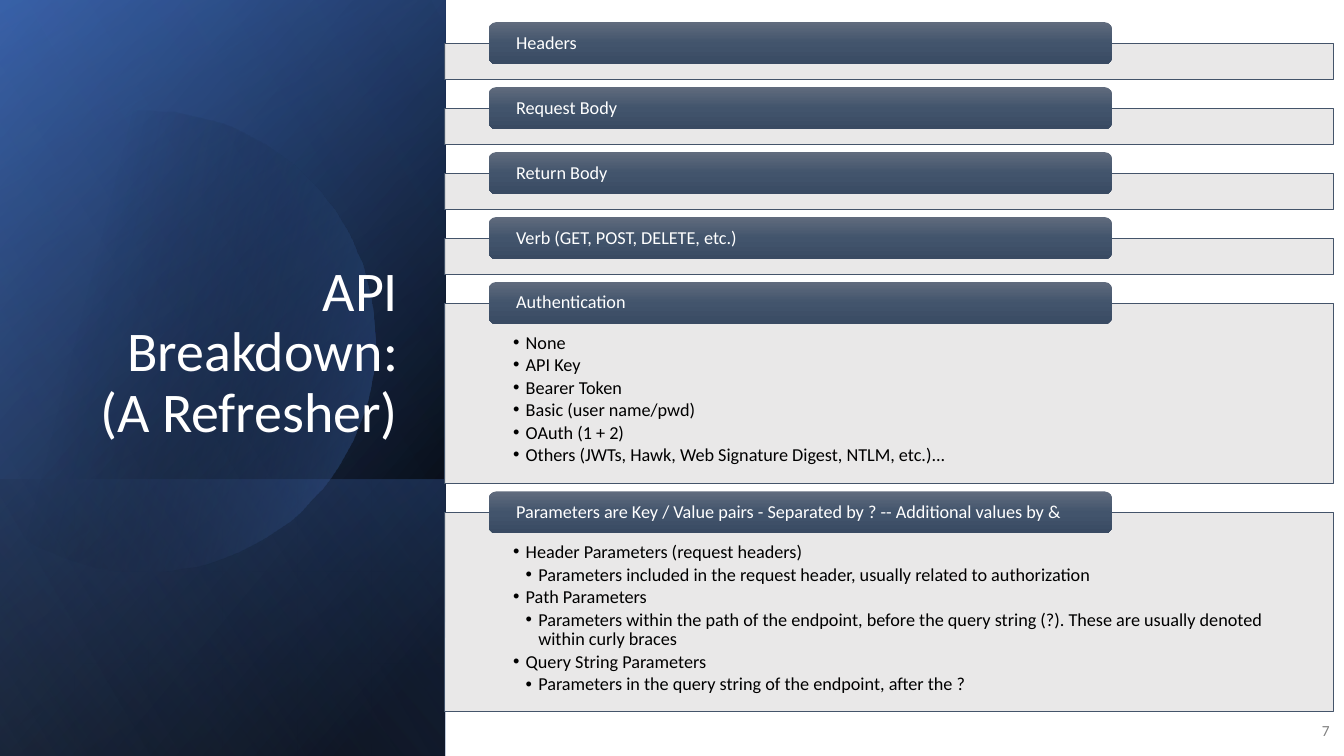
from lxml import etree
from pptx import Presentation
from pptx.dml.color import RGBColor
from pptx.enum import shapes, text
from pptx.oxml import ns
from pptx.util import Pt

BLACK = RGBColor(0x00, 0x00, 0x00)
WHITE = RGBColor(0xFF, 0xFF, 0xFF)
GRAY = RGBColor(0x80, 0x80, 0x80)
NAVY = RGBColor(0x2F, 0x55, 0x97)
BLUE = RGBColor(0x44, 0x72, 0xC4)
PALE_BLUE = RGBColor(0x8F, 0xAA, 0xDC)
SLATE = RGBColor(0x44, 0x54, 0x6A)
BOX = RGBColor(0xE7, 0xE6, 0xE6)
BAR_TOP = RGBColor(0x60, 0x6B, 0x7D)
BAR_MID = RGBColor(0x42, 0x54, 0x6C)
BAR_LOW = RGBColor(0x39, 0x4A, 0x62)

TITLE = "API Breakdown: (A Refresher)"
PAGE = "7"
SECTIONS = [
    ("Headers", 25.7, []),
    ("Request Body", 25.7, []),
    ("Return Body", 25.7, []),
    ("Verb (GET, POST, DELETE, etc.)", 25.7, []),
    ("Authentication", 128.9, [
        (0, "None"),
        (0, "API Key"),
        (0, "Bearer Token"),
        (0, "Basic (user name/pwd)"),
        (0, "OAuth (1 + 2)"),
        (0, "Others (JWTs, Hawk, Web Signature Digest, NTLM, etc.)..."),
    ]),
    ("Parameters are Key / Value pairs - Separated by ? -- Additional values by &", 141.8, [
        (0, "Header Parameters (request headers)"),
        (1, "Parameters included in the request header, usually related to authorization"),
        (0, "Path Parameters"),
        (1, "Parameters within the path of the endpoint, before the query string (?). "
            "These are usually denoted within curly braces"),
        (0, "Query String Parameters"),
        (1, "Parameters in the query string of the endpoint, after the ?"),
    ]),
]

PANEL_W = 318.2
BACK_PANELS = [
    (0, 540, [(8, BLACK, 100), (100, NAVY, 100)], 50),
    (0, 540, [(0, BLACK, 0), (99, BLUE, 46)], 30),
    (342.6, 197.4, [(2, BLUE, 29), (100, BLACK, 30)], 130),
]
FRONT_PANEL = (0, 540, [(0, BLACK, 0), (99, PALE_BLUE, 11)], 120)
DISC_STOPS = [(29, BLACK, 0), (100, BLUE, 43)]
BAR_STOPS = [(0, BAR_TOP, 100), (50, BAR_MID, 100), (100, BAR_LOW, 100)]
DISC_START = (107.3, 79.2)
DISC_PARTS = [
    [(177.1, 80.6), (241.2, 127.4), (261.4, 198)],
    [(286.6, 285.8), (236.2, 376.6), (149, 401.8)],
    [(94.3, 417.6), (38.2, 403.9), (-2.2, 370.1)],
    [(-10.8, 362.2)],
    [(-10.8, 126)],
    [(0, 115.9)],
    [(16.6, 102.2), (36, 92.2), (57.6, 85.7)],
    [(74.2, 81.4), (90.7, 79.2), (107.3, 79.2)],
]

BOX_X, BOX_W, FIRST_Y, GAP = 317.5, 635, 31, 20.7
BAR_X, BAR_W, BAR_H, BAR_RISE = 349.2, 445, 30, 15.1

prs = Presentation()
prs.slide_width, prs.slide_height = Pt(960), Pt(540)
s = prs.slides.add_slide(prs.slide_layouts[5])


def assign(obj, values):
    for name, value in values.items():
        setattr(obj, name, value)


def add_alpha(color, percent):
    etree.SubElement(color, ns.qn("a:alpha"), val=str(percent * 1000))


def set_gradient(sp, stops, angle):
    sp.shadow.inherit = False
    sp.line.fill.background()
    sp.fill.gradient()
    grad = sp._element.spPr.find(ns.qn("a:gradFill"))
    for child in list(grad):
        grad.remove(child)
    stop_list = etree.SubElement(grad, ns.qn("a:gsLst"))
    for pos, rgb, opacity in stops:
        gs = etree.SubElement(stop_list, ns.qn("a:gs"), pos=str(pos * 1000))
        color = etree.SubElement(gs, ns.qn("a:srgbClr"), val=str(rgb))
        if opacity < 100:
            add_alpha(color, opacity)
    etree.SubElement(grad, ns.qn("a:lin"), ang=str(angle * 60000), scaled="0")


def add_panel(top, height, stops, angle):
    shift = (height - PANEL_W) / 2
    sp = s.shapes.add_shape(shapes.MSO_SHAPE.RECTANGLE, Pt(-shift), Pt(top + shift),
                            Pt(height), Pt(PANEL_W))
    sp.rotation = 90
    sp._element.spPr.find(ns.qn("a:xfrm")).set("flipH", "1")
    set_gradient(sp, stops, angle)


def curve(p0, p1, p2, p3, steps=24):
    for i in range(1, steps + 1):
        t = i / steps
        u = 1 - t
        yield tuple(u**3 * a + 3 * u * u * t * b + 3 * u * t * t * c + t**3 * d
                    for a, b, c, d in zip(p0, p1, p2, p3))


def add_disc():
    points, here = [], DISC_START
    for part in DISC_PARTS:
        points += curve(here, *part) if len(part) == 3 else part
        here = part[-1]
    outline = s.shapes.build_freeform(*DISC_START, scale=Pt(1))
    outline.add_line_segments(points, close=True)
    set_gradient(outline.convert_to_shape(), DISC_STOPS, 14)


def set_frame(tf, anchor, left, top, right, bottom):
    assign(tf, {"word_wrap": True, "vertical_anchor": anchor,
                "margin_left": Pt(left), "margin_top": Pt(top),
                "margin_right": Pt(right), "margin_bottom": Pt(bottom)})


def write(p, words, size, color, align=text.PP_ALIGN.LEFT, after=0):
    assign(p, {"alignment": align, "line_spacing": 0.9,
               "space_before": Pt(0), "space_after": Pt(after)})
    r = p.add_run()
    r.text = words
    assign(r.font, {"size": Pt(size), "name": "Calibri"})
    r.font.color.rgb = color


def add_bullet(p, level):
    p.level = level
    pPr = p._p.get_or_add_pPr()
    pPr.set("marL", str(Pt(9 * (level + 1))))
    pPr.set("indent", str(Pt(-9)))
    etree.SubElement(pPr, ns.qn("a:buFont"), typeface="Arial")
    etree.SubElement(pPr, ns.qn("a:buChar"), char="•")


def add_section(top, heading, height, items):
    box = s.shapes.add_shape(shapes.MSO_SHAPE.RECTANGLE, Pt(BOX_X), Pt(top),
                             Pt(BOX_W), Pt(height))
    box.shadow.inherit = False
    box.fill.solid()
    box.fill.fore_color.rgb = BOX
    add_alpha(box._element.spPr.find(".//" + ns.qn("a:srgbClr")), 90)
    box.line.color.rgb = SLATE
    box.line.width = Pt(0.5)
    if items:
        tf = box.text_frame
        set_frame(tf, text.MSO_ANCHOR.TOP, 49, 21.6, 49, 7.2)
        for i, (level, words) in enumerate(items):
            p = tf.add_paragraph() if i else tf.paragraphs[0]
            write(p, words, 13, BLACK, after=2)
            add_bullet(p, level)

    bar = s.shapes.add_shape(shapes.MSO_SHAPE.ROUNDED_RECTANGLE, Pt(BAR_X),
                             Pt(top - BAR_RISE), Pt(BAR_W), Pt(BAR_H))
    set_gradient(bar, BAR_STOPS, 90)
    set_frame(bar.text_frame, text.MSO_ANCHOR.MIDDLE, 18, 0, 18, 0)
    write(bar.text_frame.paragraphs[0], heading, 13, WHITE)


for panel in BACK_PANELS:
    add_panel(*panel)
add_disc()
add_panel(*FRONT_PANEL)

title = s.shapes.title
s.shapes._spTree.append(title._element)
assign(title, {"left": Pt(46), "top": Pt(132.5), "width": Pt(245.5), "height": Pt(188.6)})
set_frame(title.text_frame, text.MSO_ANCHOR.BOTTOM, 7.2, 3.6, 7.2, 3.6)
write(title.text_frame.paragraphs[0], TITLE, 40, WHITE, text.PP_ALIGN.RIGHT)

number = s.shapes.add_textbox(Pt(921.6), Pt(508.3), Pt(35.3), Pt(28.8))
set_frame(number.text_frame, text.MSO_ANCHOR.MIDDLE, 7.2, 3.6, 7.2, 3.6)
write(number.text_frame.paragraphs[0], PAGE, 11, GRAY, text.PP_ALIGN.RIGHT)

y = FIRST_Y
for heading, height, items in SECTIONS:
    add_section(y, heading, height, items)
    y += height + GAP

prs.save("out.pptx")
